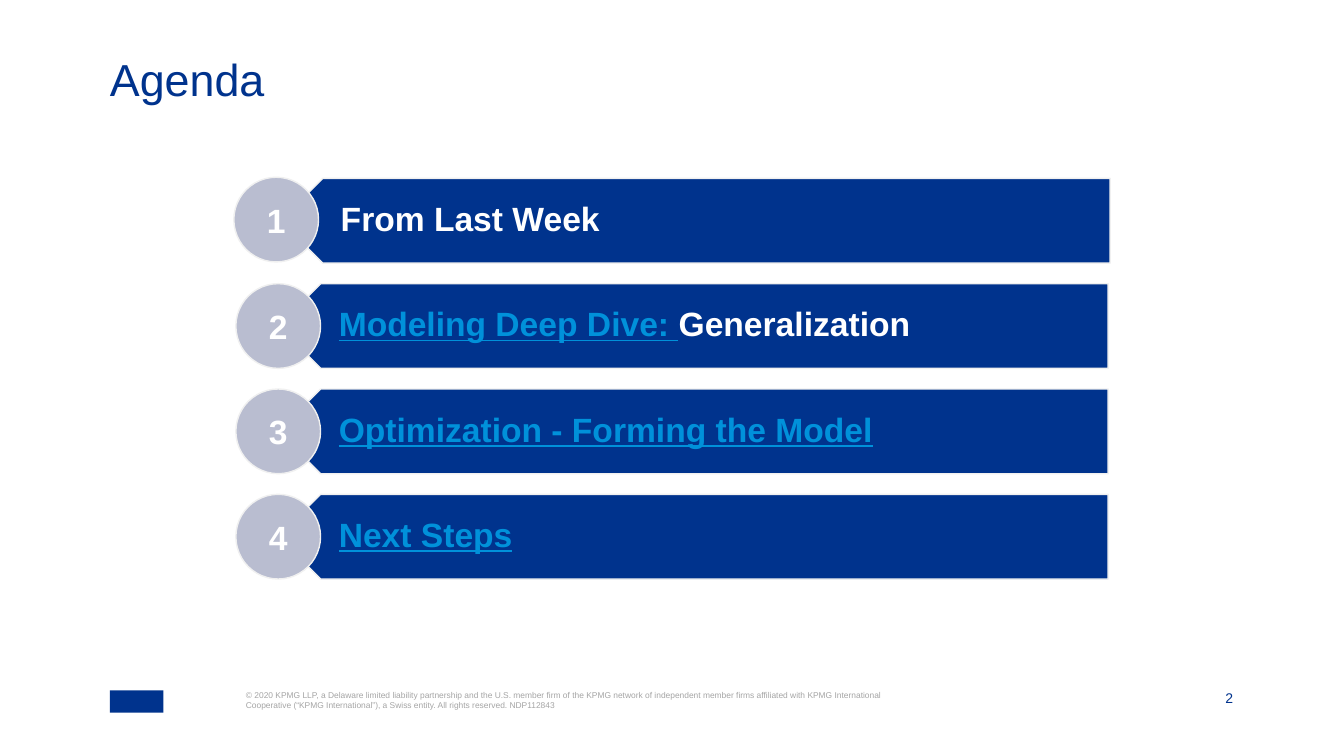
from pptx import Presentation
from pptx.dml.color import RGBColor
from pptx.enum.shapes import MSO_SHAPE
from pptx.enum.text import MSO_ANCHOR, PP_ALIGN
from pptx.util import Inches, Pt

RECT, PLATE, OVAL = MSO_SHAPE.RECTANGLE, MSO_SHAPE.PENTAGON, MSO_SHAPE.OVAL
TOP, MID, LOW = MSO_ANCHOR.TOP, MSO_ANCHOR.MIDDLE, MSO_ANCHOR.BOTTOM
LEFT, MIDST, RIGHT = PP_ALIGN.LEFT, PP_ALIGN.CENTER, PP_ALIGN.RIGHT

THEME = {
    "font": "Arial",
    "navy": "00338D", "link": "0091DA", "white": "FFFFFF",
    "dot": "B9BDD0", "edge": "F0F0F0", "gray": "A5A5A5",
    "title": 32, "item": 24, "page": 10, "legal": 6,
}

deck = Presentation()
deck.slide_width, deck.slide_height = Inches(13.33), Inches(7.5)
slide = deck.slides.add_slide(deck.slide_layouts[6])
shapes = slide.shapes


def place(x, y, wide, high, kind=None, fill=None, edge=None):
    """Add a text box or a filled shape; lengths are percent of the slide."""
    w, h = deck.slide_width / 100, deck.slide_height / 100
    area = int(x * w), int(y * h), int(wide * w), int(high * h)
    if kind is None:
        return shapes.add_textbox(*area)
    shape = shapes.add_shape(kind, *area)
    shape.shadow.inherit = False
    shape.fill.solid()
    shape.fill.fore_color.rgb = RGBColor.from_string(THEME[fill])
    if edge:
        shape.line.color.rgb = RGBColor.from_string(THEME[edge])
        shape.line.width = Pt(1)
    else:
        shape.line.fill.background()
    return shape


def write(shape, runs, size, pads=(0, 0, 0, 0), anchor=TOP, align=LEFT,
          gap=1.0, bold=False):
    """Fill a shape with one paragraph of (text, colour) runs."""
    frame = shape.text_frame
    sides = ("margin_left", "margin_top", "margin_right", "margin_bottom")
    form = dict(zip(sides, map(Inches, pads)))
    form.update(word_wrap=True, vertical_anchor=anchor)
    for key, value in form.items():
        setattr(frame, key, value)
    para = frame.paragraphs[0]
    para.alignment, para.line_spacing = align, gap
    for text, color in runs:
        run = para.add_run()
        run.text = text
        look = {"name": THEME["font"], "size": Pt(THEME[size]),
                "bold": bold, "underline": color == "link"}
        for key, value in look.items():
            setattr(run.font, key, value)
        run.font.color.rgb = RGBColor.from_string(THEME[color])


# Footer: page number, legal line and a plain block for the mark
EDGE, FOOT = 8.18, 91.33
write(place(88.07, FOOT, 3.68, 2.13), [("2", "navy")], "page",
      anchor=LOW, align=RIGHT)
legal = ("© 2020 KPMG LLP, a Delaware limited liability partnership and the "
         "U.S. member firm of the KPMG network of independent member firms "
         "affiliated with KPMG International Cooperative (“KPMG "
         "International”), a Swiss entity. All rights reserved. NDP112843")
write(place(18.3, FOOT, 47.94, 5.47), [(legal, "gray")], "legal")
place(EDGE, FOOT, 3.98, 2.93, RECT, "navy")

# Title
write(place(EDGE, 7.6, 83.65, 7.73), [("Agenda", "navy")], "title", gap=0.9)

# Agenda rows: bar, label and numbered dot
items = [
    [("From Last Week", "white")],
    [("Modeling Deep Dive: ", "link"), ("Generalization", "white")],
    [("Optimization - Forming the Model", "link")],
    [("Next Steps", "link")],
]
FIRST, PITCH, HIGH = 23.6, 13.93, 11.2
for row, runs in enumerate(items):
    y = FIRST + row * PITCH
    shift = 0 if row else 0.15
    bar = place(20.71 + shift, y, 61.74, HIGH, PLATE, "navy", "edge")
    bar.rotation = 180
    bar.adjustments[0] = 0.5
    label = place(22.28 + shift, y, 60.17, HIGH)
    write(label, runs, "item", (0.39, 0.1, 0.19, 0.1), MID, gap=0.9, bold=True)
    dot = place(17.55 - shift, y - shift, 6.3, HIGH, OVAL, "dot", "edge")
    write(dot, [(str(row + 1), "white")], "item", (0.1,) * 4, MID, MIDST,
          bold=True)

deck.save("out.pptx")
